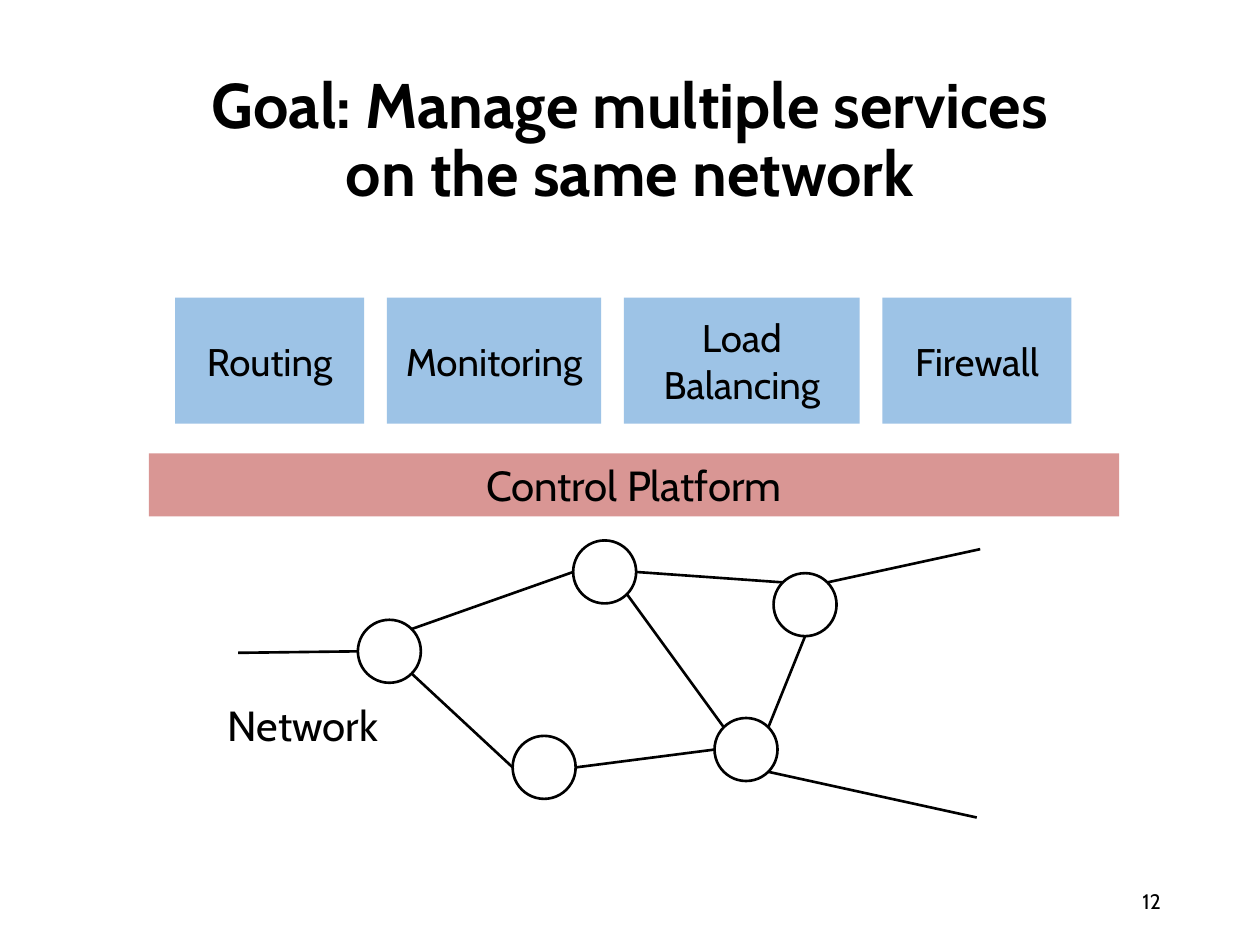
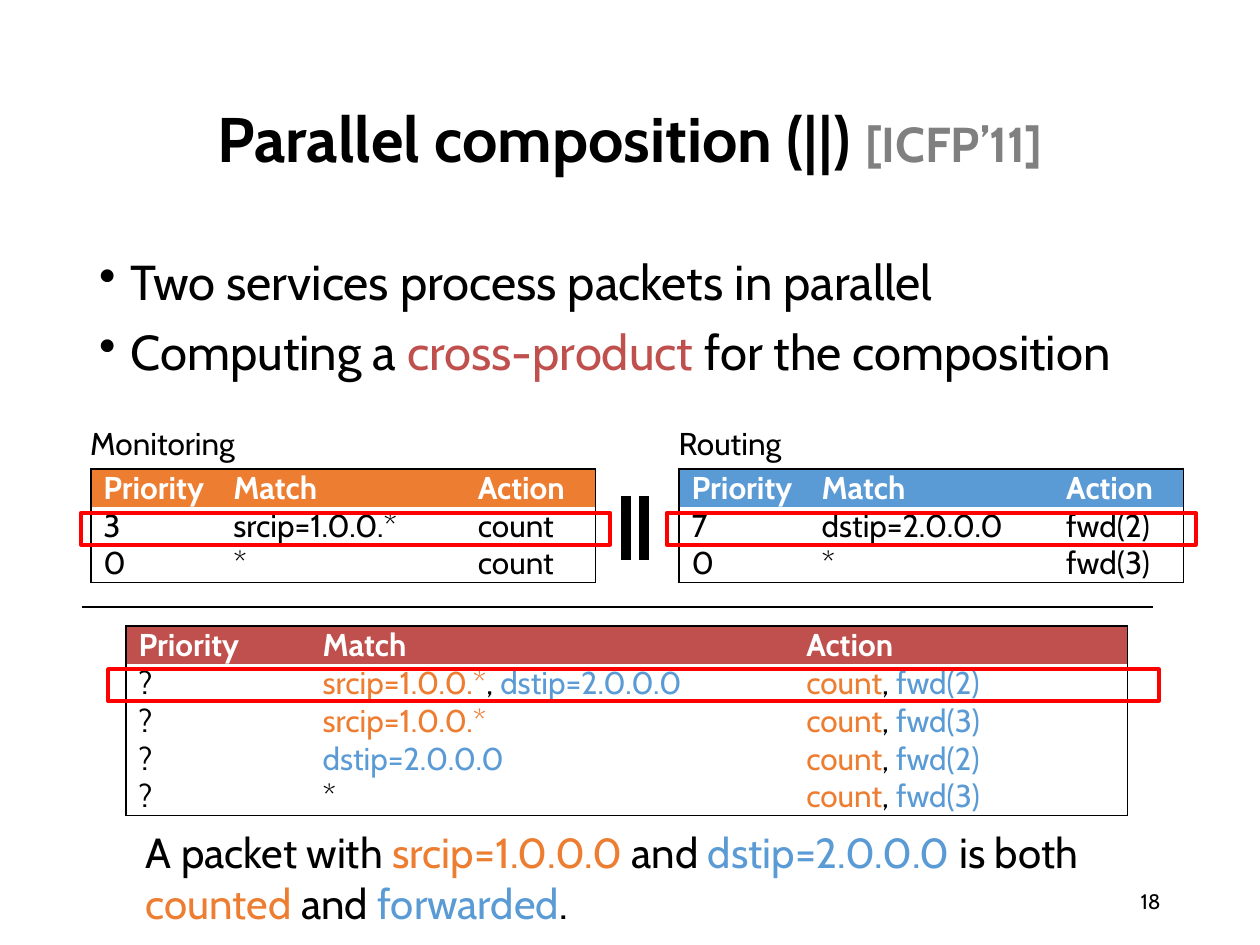
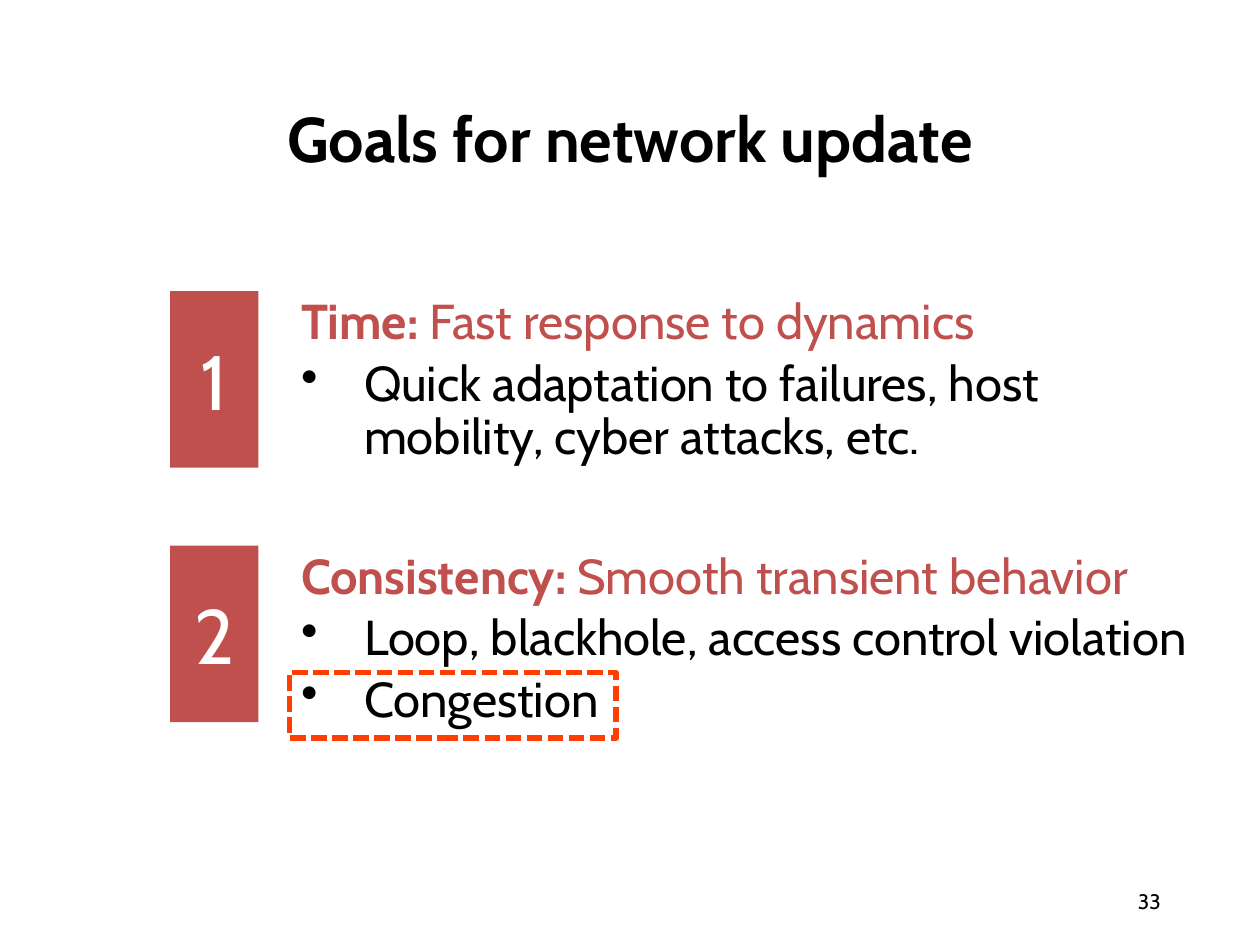
from math import cos, radians, sin

from lxml import etree
from pptx import Presentation
from pptx.dml.color import RGBColor
from pptx.enum.dml import MSO_LINE
from pptx.enum.shapes import MSO_CONNECTOR, MSO_SHAPE
from pptx.enum.text import MSO_ANCHOR, PP_ALIGN
from pptx.oxml.ns import qn
from pptx.util import Cm, Pt

FONT = "Cabin"
BLACK = RGBColor(0x00, 0x00, 0x00)
WHITE = RGBColor(0xFF, 0xFF, 0xFF)
GRAY = RGBColor(0x80, 0x80, 0x80)
LIGHT_BLUE = RGBColor(0x9D, 0xC3, 0xE6)
PINK = RGBColor(0xD9, 0x96, 0x94)
BRICK = RGBColor(0xC0, 0x50, 0x4D)
ORANGE = RGBColor(0xED, 0x7D, 0x31)
BLUE = RGBColor(0x5B, 0x9B, 0xD5)
RED = RGBColor(0xFF, 0x00, 0x00)
FLAME = RGBColor(0xFE, 0x3E, 0x02)

RECT, OVAL = MSO_SHAPE.RECTANGLE, MSO_SHAPE.OVAL
STRAIGHT = MSO_CONNECTOR.STRAIGHT
SHORT_DASH = MSO_LINE.SQUARE_DOT
LEFT, CENTER, RIGHT = PP_ALIGN.LEFT, PP_ALIGN.CENTER, PP_ALIGN.RIGHT
TOP, MIDDLE = MSO_ANCHOR.TOP, MSO_ANCHOR.MIDDLE


def write_text(frame, paragraphs, size=18, color=BLACK, bold=False, align=LEFT,
               anchor=TOP, wrap=True, spacing=1.0, before=0,
               first_bullet=None, indent=0):
    """Each paragraph is a string or a list of strings and (text, format) runs."""
    frame.word_wrap = wrap
    frame.vertical_anchor = anchor
    for index, runs in enumerate(paragraphs):
        paragraph = frame.paragraphs[0] if index == 0 else frame.add_paragraph()
        if first_bullet is not None and index >= first_bullet:
            properties = paragraph._p.get_or_add_pPr()
            properties.set("marL", str(Cm(indent)))
            properties.set("indent", str(-Cm(indent)))
            etree.SubElement(properties, qn("a:buChar")).set("char", "•")
        paragraph.alignment = align
        paragraph.line_spacing = spacing
        paragraph.space_before = Pt(before if index else 0)
        for run in [runs] if isinstance(runs, str) else runs:
            text, own = (run, {}) if isinstance(run, str) else run
            for number, line in enumerate(text.split("\n")):
                if number:
                    paragraph.add_line_break()
                piece = paragraph.add_run()
                piece.text = line
                piece.font.name = FONT
                piece.font.size = Pt(own.get("size", size))
                piece.font.bold = own.get("bold", bold)
                piece.font.color.rgb = own.get("color", color)


def tinted(text, color):
    return text, {"color": color}


class Deck:
    """Holds the shared style and the slide being built."""

    def __init__(self):
        self.presentation = Presentation()
        self.presentation.slide_width = Cm(25.4)
        self.presentation.slide_height = Cm(19.05)
        self.slide = None

    def new_slide(self, title, number):
        self.slide = self.presentation.slides.add_slide(
            self.presentation.slide_layouts[6])
        self.text((1.75, 1.02, 21.9, 3.68), [title], size=36, bold=True,
                  align=CENTER, anchor=MIDDLE, spacing=0.9)
        self.text((17.93, 17.65, 5.72, 1.02), [number], size=12,
                  align=RIGHT, anchor=MIDDLE)

    def text(self, box, paragraphs, **style):
        textbox = self.slide.shapes.add_textbox(*map(Cm, box))
        write_text(textbox.text_frame, paragraphs, **style)

    def shape(self, kind, box, fill=None, line=None, width=1.5, dash=None,
              paragraphs=(), **style):
        shape = self.slide.shapes.add_shape(kind, *map(Cm, box))
        shape.shadow.inherit = False
        if fill is None:
            shape.fill.background()
        else:
            shape.fill.solid()
            shape.fill.fore_color.rgb = fill
        if line is None:
            shape.line.fill.background()
        else:
            shape.line.color.rgb = line
            shape.line.width = Pt(width)
            if dash is not None:
                shape.line.dash_style = dash
        if paragraphs:
            write_text(shape.text_frame, paragraphs, align=CENTER,
                       anchor=MIDDLE, **style)

    def line(self, start, end, width=1.5):
        connector = self.slide.shapes.add_connector(
            STRAIGHT, *map(Cm, (*start, *end)))
        connector.line.color.rgb = BLACK
        connector.line.width = Pt(width)
        etree.SubElement(connector._element.spPr, qn("a:effectLst"))

    def table(self, left, top, widths, header_fill, rows, row_height=0.76):
        last_row, last_column = len(rows) - 1, len(widths) - 1
        table = self.slide.shapes.add_table(
            len(rows), len(widths), Cm(left), Cm(top), Cm(sum(widths)),
            Cm(row_height * len(rows))).table
        table.first_row = table.horz_banding = False
        for column, width in zip(table.columns, widths):
            column.width = Cm(width)
        for r, row in enumerate(rows):
            table.rows[r].height = Cm(row_height)
            for c, content in enumerate(row):
                cell = table.cell(r, c)
                cell.margin_top = cell.margin_bottom = 0
                self.outline(cell, L=c == 0, R=c == last_column,
                             T=r == 0, B=r == last_row)
                if r == 0:
                    cell.fill.solid()
                    cell.fill.fore_color.rgb = header_fill
                else:
                    cell.fill.background()
                write_text(cell.text_frame, [content], bold=r == 0,
                           color=BLACK if r else WHITE)

    @staticmethod
    def outline(cell, **sides):
        """Draw the sides that are true and clear the others."""
        properties = cell._tc.get_or_add_tcPr()
        for side, drawn in sides.items():
            edge = etree.SubElement(properties, qn("a:ln" + side))
            edge.set("w", str(Pt(1)))
            if drawn:
                fill = etree.SubElement(edge, qn("a:solidFill"))
                etree.SubElement(fill, qn("a:srgbClr")).set("val", str(BLACK))
            else:
                etree.SubElement(edge, qn("a:noFill"))


def services_slide(deck):
    deck.new_slide("Goal: Manage multiple services\non the same network", "12")

    # Services on top of the control platform
    left, gap = 3.53, 0.46
    for service, width in ((["Routing"], 3.81), (["Monitoring"], 4.32),
                           (["Load", "Balancing"], 4.75), (["Firewall"], 3.81)):
        deck.shape(RECT, (left, 6, width, 2.54), fill=LIGHT_BLUE,
                   paragraphs=service, size=22)
        left += width + gap
    deck.shape(RECT, (3, 9.14, 19.56, 1.27), fill=PINK,
               paragraphs=["Control Platform"], size=24)

    # Network: switch centres, and links that end on their rims
    diameter = 1.27
    switches = {"west": (7.85, 13.13), "north": (12.19, 11.53),
                "south": (10.97, 15.47), "east": (16.23, 12.19),
                "southeast": (15.04, 15.11)}

    def rim(switch, degrees):
        x, y = switches[switch]
        angle = radians(degrees)
        return x + diameter / 2 * cos(angle), y + diameter / 2 * sin(angle)

    for x, y in switches.values():
        deck.shape(OVAL, (x - diameter / 2, y - diameter / 2, diameter, diameter),
                   line=BLACK)
    for start, end in (
            (rim("south", 180), rim("west", 45)),
            (rim("southeast", 180), rim("south", 0)),
            (rim("east", 90), rim("southeast", -45)),
            (rim("north", 180), rim("west", -45)),
            (rim("east", -135), rim("north", 0)),
            (rim("north", 45), rim("southeast", -135)),
            (rim("west", 180), (4.8, 13.16)),
            (rim("east", -45), (19.76, 11.07)),
            (rim("southeast", 45), (19.69, 16.48))):
        deck.line(start, end)
    deck.text((4.34, 13.97, 3.61, 1.27), ["Network"], size=24, wrap=False)


def composition_slide(deck):
    deck.new_slide(["Parallel composition (||) ",
                    ("[ICFP’11]", {"size": 28, "color": GRAY})], "18")
    deck.text((1.75, 5.08, 21.9, 12.09),
              ["Two services process packets in parallel",
               ["Computing a ", tinted("cross-product", BRICK),
                " for the composition"]],
              size=28, spacing=0.9, before=10, first_bullet=0, indent=0.64)

    # Rule tables of the two services
    header = ["Priority", "Match", "Action"]
    for name, left, fill, rules in (
            ("Monitoring", 1.83, ORANGE,
             [["3", "srcip=1.0.0.*", "count"], ["0", "*", "count"]]),
            ("Routing", 13.69, BLUE,
             [["7", "dstip=2.0.0.0", "fwd(2)"], ["0", "*", "fwd(3)"]])):
        deck.text((left - 0.26, 8.43, 3.48, 1.02), [name], wrap=False)
        deck.table(left, 9.45, (2.62, 4.93, 2.62), fill, [header] + rules)

    # Parallel sign and divider
    for x in (12.62, 12.98):
        deck.line((x, 10), (x, 11.28), width=6)
    deck.line((1.65, 12.24), (23.24, 12.24))

    # Composed rules
    source = tinted("srcip=1.0.0.*", ORANGE)
    destination = tinted("dstip=2.0.0.0", BLUE)
    matches = [[source, ", ", destination], [source], [destination], "*"]
    ports = ["fwd(2)", "fwd(3)"] * 2
    composed = [["?", match, [tinted("count", ORANGE), ", ", tinted(port, BLUE)]]
                for match, port in zip(matches, ports)]
    deck.table(2.54, 12.62, (3.71, 9.75, 6.73), BRICK, [header] + composed)

    # Rules that the example packet hits
    for left, top, width in ((2.18, 13.49, 21.18), (1.63, 10.34, 10.67),
                             (13.44, 10.34, 10.67)):
        deck.shape(RECT, (left, top, width, 0.64), line=RED, width=2.25)
    deck.text((2.69, 16.54, 20.98, 2.31),
              [["A packet with ", tinted("srcip=1.0.0.0", ORANGE), " and ",
                tinted("dstip=2.0.0.0 ", BLUE), "is both ",
                tinted("counted", ORANGE), " and ",
                tinted("forwarded", BLUE), "."]], size=24)


def goals_slide(deck):
    deck.new_slide("Goals for network update", "33")
    goals = (
        ("1", 5.87, 15.54, "Time: ", "Fast response to dynamics",
         ["Quick adaptation to failures, host mobility, cyber attacks, etc."]),
        ("2", 11, 19.58, "Consistency: ", "Smooth transient behavior",
         ["Loop, blackhole, access control violation", "Congestion"]))
    for number, top, width, goal, summary, details in goals:
        deck.shape(RECT, (3.43, top, 1.78, 3.56), fill=BRICK,
                   paragraphs=[number], size=44, color=WHITE)
        heading = [(goal, {"bold": True, "color": BRICK}), tinted(summary, BRICK)]
        deck.text((5.82, top, width, 3.75), [heading] + details, size=28,
                  spacing=0.9, before=5, first_bullet=1, indent=1.27)

    # Frame around the congestion goal
    deck.shape(RECT, (5.84, 13.56, 6.58, 1.32), line=FLAME, width=3,
               dash=SHORT_DASH)


def main():
    deck = Deck()
    services_slide(deck)
    composition_slide(deck)
    goals_slide(deck)
    deck.presentation.save("out.pptx")


if __name__ == "__main__":
    main()
